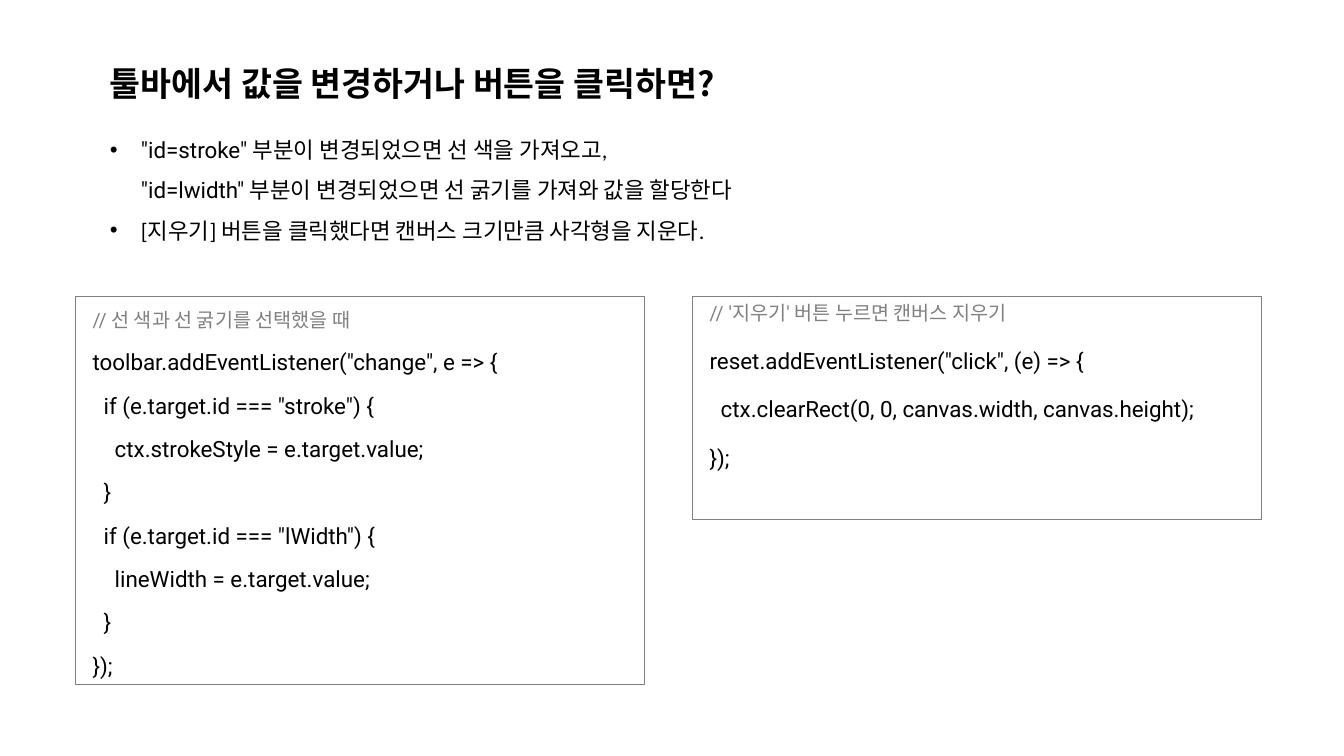
import pptx
import pptx.dml.color
import pptx.enum.shapes
import pptx.enum.text
import pptx.oxml
import pptx.oxml.ns
import pptx.util

Inches, Pt = pptx.util.Inches, pptx.util.Pt
Color = pptx.dml.color.RGBColor
BLACK = Color(0, 0, 0)
GRAY = Color(0x80, 0x80, 0x80)
LATIN, BODY, HEAD = "Roboto", "Calibri", "Noto Sans CJK KR"

TITLE = "툴바에서 값을 변경하거나 버튼을 클릭하면?"
POINTS = [
    [
        [('"id=stroke" ', LATIN), ("부분이 변경되었으면 선 색을 가져오고, ", BODY)],
        [('"id=lwidth" ', LATIN), ("부분이 변경되었으면 선 굵기를 가져와 값을 할당한다", BODY)],
    ],
    [[("[지우기] 버튼을 클릭했다면 캔버스 크기만큼 사각형을 지운다.", BODY)]],
]
CODES = [
    {"high": 3.85, "first": 1.3, "rest": 1.3, "lines": [
        "// 선 색과 선 굵기를 선택했을 때",
        'toolbar.addEventListener("change", e => {',
        '  if (e.target.id === "stroke") {',
        "    ctx.strokeStyle = e.target.value;",
        "  }",
        '  if (e.target.id === "lWidth") {',
        "    lineWidth = e.target.value;",
        "  }",
        "});",
    ]},
    {"high": 2.21, "first": 1.0, "rest": 1.5, "lines": [
        "// '지우기' 버튼 누르면 캔버스 지우기",
        'reset.addEventListener("click", (e) => {',
        "  ctx.clearRect(0, 0, canvas.width, canvas.height);",
        "});",
    ]},
]
LEFT, TOP, WIDE, STEP = 0.75, 2.94, 5.64, 6.12
MARGIN = 0.99


def style(font, name, size, color, bold=False):
    font.name, font.size, font.bold = name, Pt(size), bold
    font.color.rgb = color


def indent(para, left, hang=0):
    props = para._p.get_or_add_pPr()
    props.set("marL", str(Inches(left)))
    props.set("indent", str(Inches(hang)))
    return props


def add_title(slide):
    title = slide.shapes.title
    title.left, title.top = Inches(MARGIN), Inches(0.57)
    title.width, title.height = Inches(7.3), Inches(0.5)
    frame = title.text_frame
    frame.text = TITLE
    frame.auto_size = pptx.enum.text.MSO_AUTO_SIZE.NONE
    frame.vertical_anchor = pptx.enum.text.MSO_ANCHOR.TOP
    para = frame.paragraphs[0]
    para.alignment = pptx.enum.text.PP_ALIGN.LEFT
    style(para.font, HEAD, 24, BLACK, True)


def add_points(slide):
    box = slide.shapes.add_textbox(
        Inches(MARGIN), Inches(1.17), Inches(9.89), Inches(1.66))
    frame = box.text_frame
    frame.word_wrap = True
    for i, lines in enumerate(POINTS):
        para = frame.add_paragraph() if i else frame.paragraphs[0]
        para.line_spacing = 1.5
        props = indent(para, 0.31, -0.31)
        for tag, key, value in (("buFont", "typeface", "Arial"), ("buChar", "char", "•")):
            mark = pptx.oxml.parse_xml(
                f'<a:{tag} {pptx.oxml.ns.nsdecls("a")} {key}="{value}"/>')
            props.append(mark)
        style(para.font, BODY, 16, BLACK)
        for j, parts in enumerate(lines):
            if j:
                para.add_line_break()
            for text, name in parts:
                run = para.add_run()
                run.text = text
                style(run.font, name, 16, BLACK)


def add_code(slide, col, code):
    box = slide.shapes.add_shape(
        pptx.enum.shapes.MSO_SHAPE.RECTANGLE, Inches(LEFT + col * STEP),
        Inches(TOP), Inches(WIDE), Inches(code["high"]))
    box.shadow.inherit = False
    box.fill.background()
    box.line.color.rgb = GRAY
    box.line.width = Pt(0.75)
    frame = box.text_frame
    frame.word_wrap = True
    frame.vertical_anchor = pptx.enum.text.MSO_ANCHOR.TOP
    for i, line in enumerate(code["lines"]):
        para = frame.add_paragraph() if i else frame.paragraphs[0]
        para.text = line
        para.alignment = pptx.enum.text.PP_ALIGN.LEFT
        para.line_spacing = code["rest"] if i else code["first"]
        para.space_before = Pt(3 if i else 0)
        para.space_after = Pt(3)
        indent(para, 0.07)
        style(para.font, LATIN, 16 if i else 14, BLACK if i else GRAY)


def main():
    deck = pptx.Presentation()
    deck.slide_width, deck.slide_height = Inches(13.33), Inches(7.5)
    slide = deck.slides.add_slide(deck.slide_layouts.get_by_name("Title Only"))
    add_title(slide)
    add_points(slide)
    for col, code in enumerate(CODES):
        add_code(slide, col, code)
    deck.save("out.pptx")


if __name__ == "__main__":
    main()
